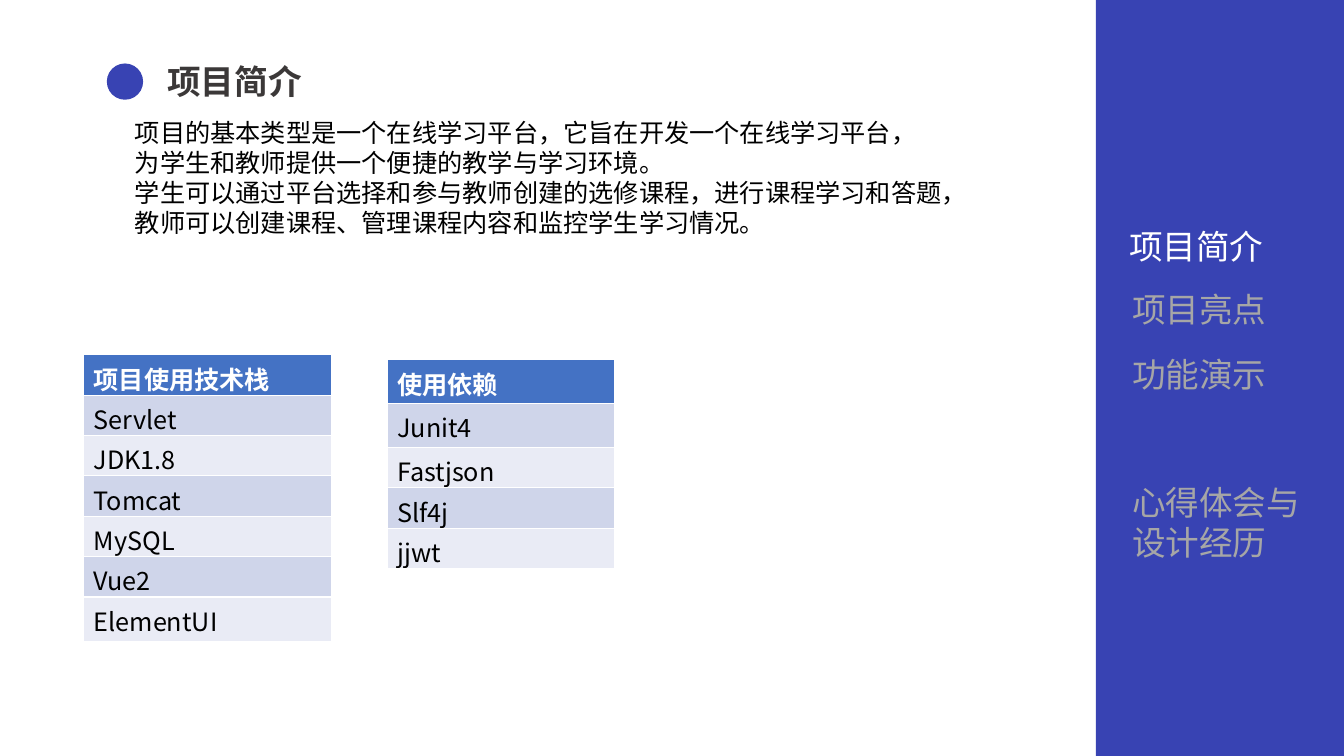
from pptx import Presentation
from pptx.dml.color import RGBColor
from pptx.enum.shapes import MSO_SHAPE
from pptx.enum.text import MSO_AUTO_SIZE
from pptx.oxml.ns import qn
from pptx.util import Inches, Pt
from lxml import etree

FONT = "Noto Sans CJK SC"
COLORS = {
    "blue": "3843B3", "title": "3B3838", "white": "FFFFFF", "gray": "A6A6A6",
    "black": "000000", "head": "4472C4", "odd": "CFD5EA", "even": "E9EBF5",
}


def add_run(para, text, size, color, bold=False):
    run = para.add_run()
    run.text = text
    font = run.font
    font.size, font.bold, font.name = Pt(size), bold, FONT
    font.color.rgb = RGBColor.from_string(COLORS[color])
    etree.SubElement(run._r.get_or_add_rPr(), qn("a:ea")).set("typeface", FONT)


def add_text(box, lines, size, color, bold=False, wrap=True):
    frame = slide.shapes.add_textbox(*map(Inches, box)).text_frame
    frame.word_wrap = wrap
    frame.auto_size = MSO_AUTO_SIZE.SHAPE_TO_FIT_TEXT
    for i, line in enumerate(lines):
        para = frame.add_paragraph() if i else frame.paragraphs[0]
        add_run(para, line, size, color, bold)


deck = Presentation()
deck.slide_width, deck.slide_height = Inches(13.33), Inches(7.5)
slide = deck.slides.add_slide(deck.slide_layouts[6])

# Side panel and title dot
for kind, box in [
    (MSO_SHAPE.RECTANGLE, (10.87, 0, 2.46, 7.5)),
    (MSO_SHAPE.OVAL, (1.06, 0.63, 0.36, 0.36)),
]:
    shape = slide.shapes.add_shape(kind, *map(Inches, box))
    shape.shadow.inherit = False
    shape.fill.solid()
    shape.fill.fore_color.rgb = RGBColor.from_string(COLORS["blue"])
    shape.line.fill.background()

# Title and summary
add_text((1.56, 0.56, 2.91, 0.5), ["项目简介"], 24, "title", bold=True)
summary = [
    "项目的基本类型是一个在线学习平台，它旨在开发一个在线学习平台，",
    "为学生和教师提供一个便捷的教学与学习环境。",
    "学生可以通过平台选择和参与教师创建的选修课程，进行课程学习和答题，",
    "教师可以创建课程、管理课程内容和监控学生学习情况。",
]
add_text((1.24, 1.11, 8.53, 1.31), summary, 18, "black", wrap=False)

# Side menu
for label, left, top, height, color in [
    ("项目简介", 11.1, 2.19, 0.5, "white"),
    ("项目亮点", 11.13, 2.82, 0.5, "gray"),
    ("功能演示", 11.13, 3.46, 0.5, "gray"),
    ("心得体会与设计经历", 11.13, 4.73, 0.91, "gray"),
]:
    add_text((left, top, 1.95, height), [label], 24, color)

# Tables: the default style supplies the white borders
stack = ["项目使用技术栈", "Servlet", "JDK1.8", "Tomcat", "MySQL", "Vue2", "ElementUI"]
libs = ["使用依赖", "Junit4", "Fastjson", "Slf4j", "jjwt"]
for items, box, heights in [
    (stack, (0.83, 3.52, 2.46, 2.84), [0.39] * 6 + [0.44]),
    (libs, (3.84, 3.57, 2.26, 2.07), [0.43, 0.44, 0.34, 0.34, 0.39]),
]:
    table = slide.shapes.add_table(len(items), 1, *map(Inches, box)).table
    for i, (item, height) in enumerate(zip(items, heights)):
        table.rows[i].height = Inches(height)
        cell = table.cell(i, 0)
        fill = "head" if i == 0 else "odd" if i % 2 else "even"
        cell.fill.solid()
        cell.fill.fore_color.rgb = RGBColor.from_string(COLORS[fill])
        color = "black" if i else "white"
        add_run(cell.text_frame.paragraphs[0], item, 18, color, bold=i == 0)

deck.save("out.pptx")
